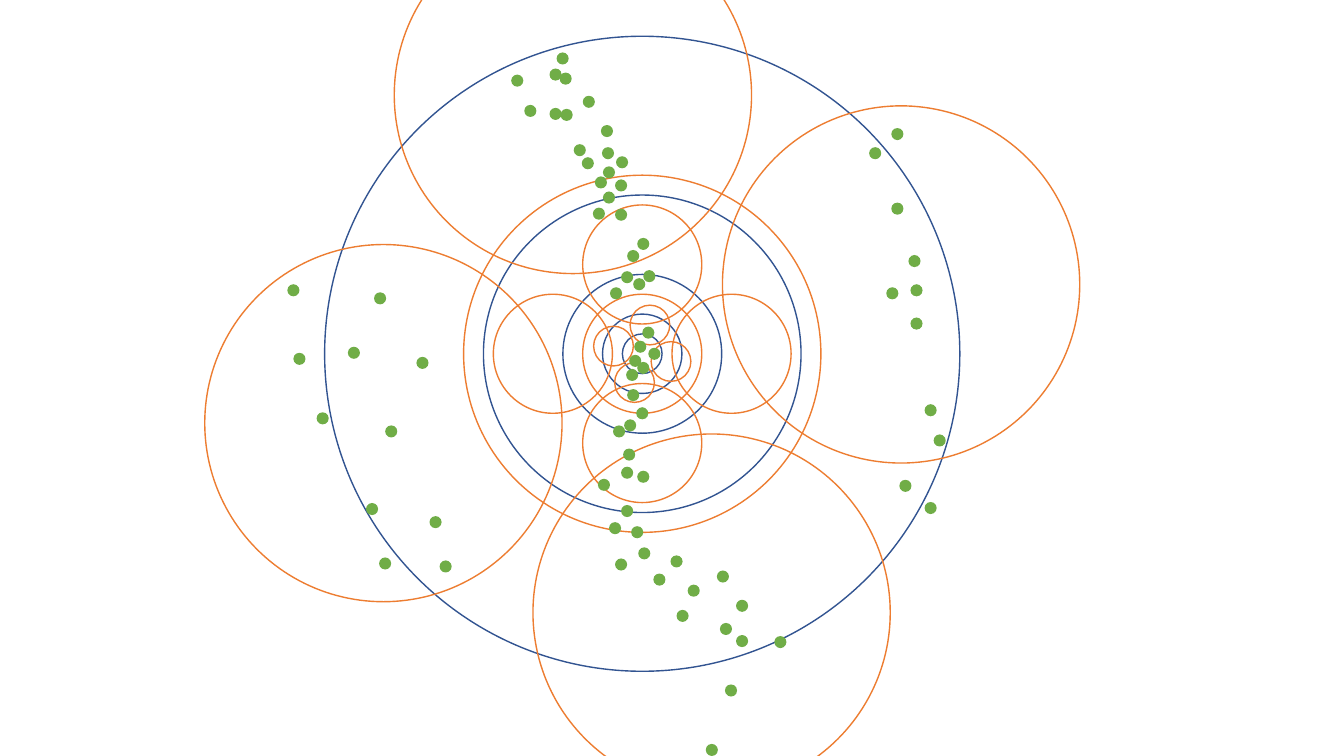
from math import cos, radians, sin

from pptx import Presentation
from pptx.dml.color import RGBColor
from pptx.enum.shapes import MSO_SHAPE
from pptx.util import Inches, Pt

COLORS = {"ring": "325491", "receptive": "ED7D31", "dot": "70AD47"}
CENTER = (6.37, 3.51)
OUTER_RADIUS = 3.15
INNER_RADIUS = OUTER_RADIUS / 16
DOT_SIZE = 0.12
TILTS = (15, 0, -15)
DIRECTIONS = (180, 270, 0, 90)

# Left and top of each dot, by region of the diagram
DOTS = {
    "middle": [
        (6.29, 3.38), (6.37, 3.24), (6.43, 3.45), (6.24, 3.52), (6.32, 3.59),
        (6.21, 3.66), (6.22, 3.86), (6.31, 4.04), (6.19, 4.16), (6.08, 4.22),
        (6.18, 4.45), (6.32, 4.67), (6.38, 2.68), (6.22, 2.48), (6.16, 2.69),
        (6.28, 2.76), (6.32, 2.36),
    ],
    "top": [
        (6.1, 2.07), (6.1, 1.78), (5.77, 1.56), (5.96, 1.24), (5.56, 1.08),
        (5.78, 0.95), (5.07, 0.74), (5.52, 0.52), (5.45, 0.68), (5.55, 0.72),
        (5.2, 1.04), (5.45, 1.07), (5.69, 1.43), (5.97, 1.46), (6.11, 1.55),
        (5.98, 1.65), (5.9, 1.75), (5.98, 1.9), (6.05, 2.85), (5.88, 2.06),
    ],
    "bottom": [
        (6.33, 5.43), (6.16, 4.63), (6.1, 5.54), (5.93, 4.75), (6.16, 5.01),
        (6.04, 5.18), (6.26, 5.22), (6.71, 6.05), (7.14, 6.18), (7.11, 5.66),
        (6.82, 5.8), (6.48, 5.69), (6.65, 5.51), (7.3, 5.95), (7.68, 6.31),
        (7.3, 6.3), (7.19, 6.79), (7, 7.38),
    ],
    "right": [
        (9.01, 2.53), (9.03, 2.82), (8.79, 2.85), (9.03, 3.15), (9.17, 4.01),
        (9.26, 4.31), (8.92, 4.76), (9.17, 4.98), (8.84, 2.01), (8.62, 1.46),
        (8.84, 1.27),
    ],
    "left": [
        (2.91, 3.5), (3.14, 4.09), (3.82, 4.22), (3.63, 4.99), (4.26, 5.12),
        (3.76, 5.53), (4.36, 5.56), (4.13, 3.54), (3.45, 3.44), (3.71, 2.9),
        (2.85, 2.82),
    ],
}


def add_ellipse(shapes, left, top, size):
    ellipse = shapes.add_shape(
        MSO_SHAPE.OVAL, Inches(left), Inches(top), Inches(size), Inches(size)
    )
    ellipse.shadow.inherit = False
    return ellipse


def add_circle(shapes, center, radius, color, tilt=0):
    """Add an unfilled circle around its center."""
    circle = add_ellipse(shapes, center[0] - radius, center[1] - radius, 2 * radius)
    circle.rotation = tilt
    circle.fill.background()
    circle.line.color.rgb = RGBColor.from_string(COLORS[color])
    circle.line.width = Pt(1)


def add_rings(shapes):
    """Add the concentric rings, each twice as wide as the one inside it."""
    for halving in range(5):
        add_circle(shapes, CENTER, OUTER_RADIUS / 2**halving, "ring")


def add_clusters(shapes):
    """Add four circles around the center per level, each level three times larger."""
    for level, tilt in enumerate(TILTS):
        radius = INNER_RADIUS * 3**level
        if level > 0:
            add_circle(shapes, CENTER, radius, "receptive", tilt)
        for direction in DIRECTIONS:
            angle = radians(direction + tilt)
            center = (
                CENTER[0] + 1.5 * radius * cos(angle),
                CENTER[1] + 1.5 * radius * sin(angle),
            )
            add_circle(shapes, center, radius, "receptive", tilt)


def add_dot(shapes, left, top):
    dot = add_ellipse(shapes, left, top, DOT_SIZE)
    dot.fill.solid()
    dot.fill.fore_color.rgb = RGBColor.from_string(COLORS["dot"])
    dot.line.fill.background()


def main():
    deck = Presentation()
    deck.slide_width = Inches(13.33)
    deck.slide_height = Inches(7.5)
    page = deck.slides.add_slide(deck.slide_layouts[6])

    circles = page.shapes.add_group_shape().shapes
    add_rings(circles)
    add_clusters(circles)
    for region in DOTS.values():
        for left, top in region:
            add_dot(page.shapes, left, top)

    deck.save("out.pptx")


if __name__ == "__main__":
    main()
